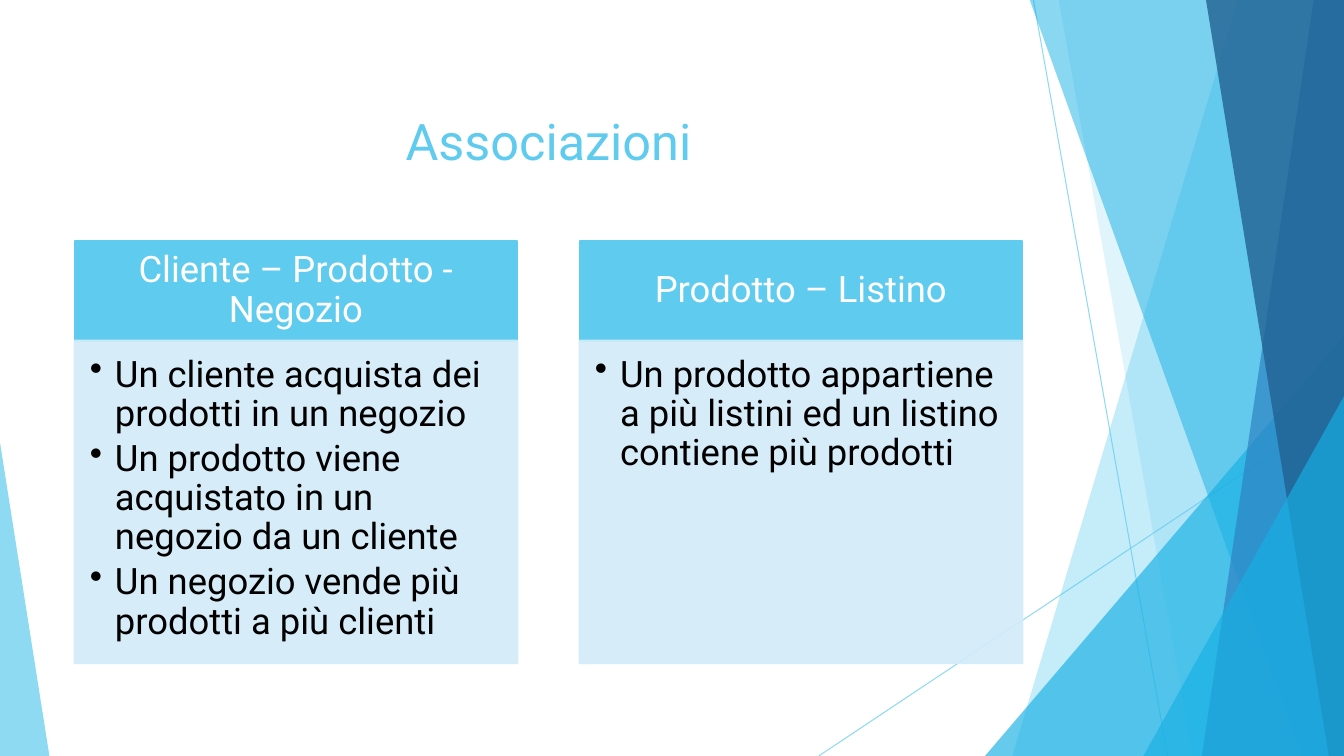
from dataclasses import dataclass

from lxml import etree
from pptx import Presentation
from pptx.dml.color import RGBColor
from pptx.enum import shapes, text
from pptx.oxml import ns
from pptx.util import Inches, Pt

FONT = "Roboto"
COLORS = {
    "sky": "5FCBEF",
    "cyan": "17B0E4",
    "blue": "2E83C3",
    "navy": "226292",
    "pale": "D2ECF9",
    "white": "FFFFFF",
    "black": "000000",
}
WIDTH, HEIGHT = 13.33, 7.5
TOP = -0.01


@dataclass
class Ray:
    start: tuple[float, float]
    end: tuple[float, float]


@dataclass
class Band:
    """A facet reaching the right slide edge, with a slanted left side."""
    top_x: float
    bottom_x: float
    color: str
    alpha: int


@dataclass
class Corner:
    """A triangle on the bottom edge; apex is 0 for left, 1 for right."""
    left: float
    top: float
    width: float
    apex: int
    color: str
    alpha: int


@dataclass
class Card:
    heading: str
    points: list[str]


RAYS = [
    Ray((10.25, 0), (11.58, HEIGHT)),
    Ray((WIDTH, 4.03), (8.12, HEIGHT)),
]
FACETS = [
    Band(12.28, 10.04, "sky", 36),
    Band(10.5, 11.83, "sky", 20),
    Corner(9.77, 3.33, 3.56, 1, "cyan", 66),
    Band(10.21, 12.91, "cyan", 50),
    Band(13.03, 11.92, "blue", 70),
    Band(11.96, 13.18, "navy", 80),
    Corner(11.34, 3.93, 1.99, 1, "cyan", 66),
    Corner(0, 4.39, 0.49, 0, "sky", 70),
]
CARDS = [
    Card("Cliente – Prodotto - Negozio", [
        "Un cliente acquista dei prodotti in un negozio",
        "Un prodotto viene acquistato in un negozio da un cliente",
        "Un negozio vende più prodotti a più clienti",
    ]),
    Card("Prodotto – Listino", [
        "Un prodotto appartiene a più listini ed un listino contiene più prodotti",
    ]),
]
CARD_LEFT, CARD_STEP, CARD_WIDTH = 0.74, 5.01, 4.39
HEAD_TOP, HEAD_HEIGHT, BODY_HEIGHT = 2.39, 0.99, 3.2


def rgb(name: str) -> RGBColor:
    return RGBColor.from_string(COLORS[name])


def set_alpha(sp, percent: int) -> None:
    """Apply one opacity to every colour of the shape's fill and line."""
    for color in sp._element.spPr.iter(ns.qn("a:srgbClr")):
        etree.SubElement(color, ns.qn("a:alpha")).set("val", str(percent * 1000))


def paint(sp, color: str, alpha: int = 100, outline: bool = False) -> None:
    sp.shadow.inherit = False
    sp.fill.solid()
    sp.fill.fore_color.rgb = rgb(color)
    if outline:
        sp.line.color.rgb = rgb(color)
        sp.line.width = Pt(1.5)
    else:
        sp.line.fill.background()
    if alpha < 100:
        set_alpha(sp, alpha)


def draw_ray(s, ray: Ray) -> None:
    line = s.shapes.add_connector(
        shapes.MSO_CONNECTOR.STRAIGHT,
        *(Inches(v) for v in (*ray.start, *ray.end)))
    line.line.color.rgb = rgb("sky")
    line.line.width = Pt(0.75)
    set_alpha(line, 70)
    etree.SubElement(line._element.spPr, ns.qn("a:effectLst"))


def draw_facet(s, facet: Band | Corner) -> None:
    if isinstance(facet, Band):
        outline = [(Inches(x), Inches(y)) for x, y in (
            (facet.top_x, TOP), (WIDTH, TOP),
            (WIDTH, HEIGHT), (facet.bottom_x, HEIGHT))]
        builder = s.shapes.build_freeform(*outline[0])
        builder.add_line_segments(outline[1:], close=True)
        sp = builder.convert_to_shape()
    else:
        sp = s.shapes.add_shape(
            shapes.MSO_SHAPE.ISOSCELES_TRIANGLE,
            Inches(facet.left), Inches(facet.top),
            Inches(facet.width), Inches(HEIGHT - facet.top))
        sp.adjustments[0] = facet.apex
    paint(sp, facet.color, facet.alpha)


def set_frame(tf, anchor, insets: tuple[float, float, float, float]) -> None:
    tf.word_wrap = True
    tf.vertical_anchor = anchor
    tf.margin_left, tf.margin_top, tf.margin_right, tf.margin_bottom = map(
        Inches, insets)


def style(p, size: int, color: str, align) -> None:
    p.alignment = align
    for r in p.runs:
        r.font.size = Pt(size)
        r.font.name = FONT
        r.font.color.rgb = rgb(color)


def add_bullet(p) -> None:
    props = p._p.get_or_add_pPr()
    props.set("marL", str(Inches(0.25)))
    props.set("indent", str(Inches(-0.25)))
    etree.SubElement(props, ns.qn("a:buChar")).set("char", "•")


def add_title(s, wording: str) -> None:
    box = s.shapes.add_textbox(Inches(0.74), Inches(0.67), Inches(9.4), Inches(1.44))
    tf = box.text_frame
    tf.text = wording
    set_frame(tf, text.MSO_ANCHOR.MIDDLE, (0.1, 0.05, 0.1, 0.05))
    style(tf.paragraphs[0], 36, "sky", text.PP_ALIGN.CENTER)


def add_panel(s, left: float, top: float, height: float, color: str, alpha: int):
    sp = s.shapes.add_shape(
        shapes.MSO_SHAPE.RECTANGLE,
        Inches(left), Inches(top), Inches(CARD_WIDTH), Inches(height))
    paint(sp, color, alpha, outline=True)
    return sp.text_frame


def add_card(s, left: float, card: Card) -> None:
    tf = add_panel(s, left, HEAD_TOP, HEAD_HEIGHT, "sky", 100)
    tf.text = card.heading
    set_frame(tf, text.MSO_ANCHOR.MIDDLE, (0.2, 0.12, 0.2, 0.12))
    tf.paragraphs[0].line_spacing = 0.9
    style(tf.paragraphs[0], 26, "white", text.PP_ALIGN.CENTER)

    tf = add_panel(s, left, HEAD_TOP + HEAD_HEIGHT, BODY_HEIGHT, "pale", 90)
    tf.text = "\n".join(card.points)
    set_frame(tf, text.MSO_ANCHOR.TOP, (0.15, 0.15, 0.2, 0.23))
    for p in tf.paragraphs:
        add_bullet(p)
        p.line_spacing = 0.9
        p.space_after = Pt(4)
        style(p, 26, "black", text.PP_ALIGN.LEFT)


def main() -> None:
    prs = Presentation()
    prs.slide_width, prs.slide_height = Inches(WIDTH), Inches(HEIGHT)
    s = prs.slides.add_slide(prs.slide_layouts[6])
    for ray in RAYS:
        draw_ray(s, ray)
    for facet in FACETS:
        draw_facet(s, facet)
    add_title(s, "Associazioni")
    for i, card in enumerate(CARDS):
        add_card(s, CARD_LEFT + i * CARD_STEP, card)
    prs.save("out.pptx")


if __name__ == "__main__":
    main()
